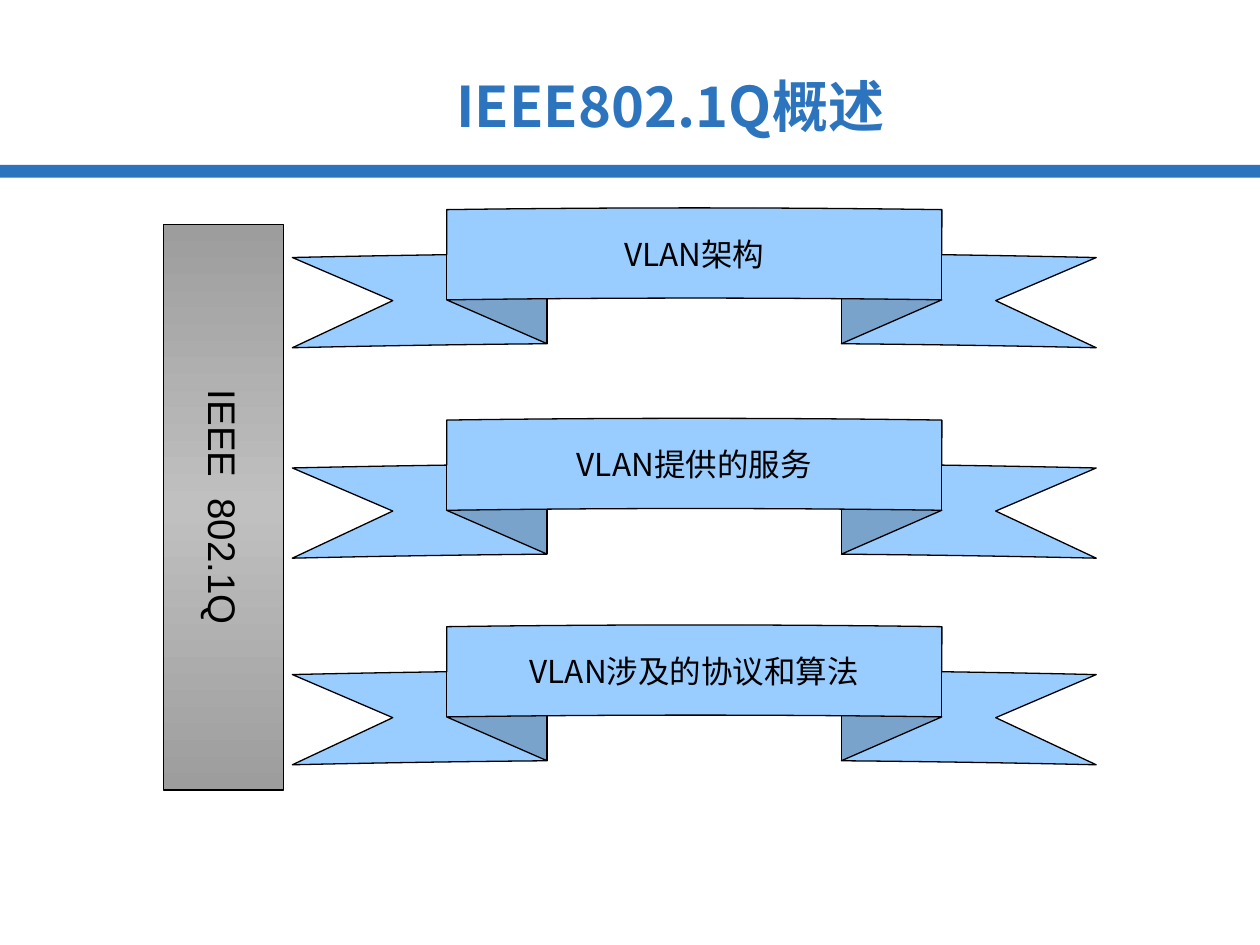
import copy

import pptx
import pptx.dml.color
import pptx.enum.shapes
import pptx.enum.text
import pptx.util

BLUE = pptx.dml.color.RGBColor(0x2C, 0x75, 0xBE)
SKY = pptx.dml.color.RGBColor(0x99, 0xCC, 0xFF)
BLACK = pptx.dml.color.RGBColor(0, 0, 0)
DARK_GREY = pptx.dml.color.RGBColor(0x9D, 0x9D, 0x9D)
LIGHT_GREY = pptx.dml.color.RGBColor(0xC0, 0xC0, 0xC0)
CJK = "Noto Sans CJK SC"
SHAPES = pptx.enum.shapes.MSO_SHAPE

presentation = pptx.Presentation()
presentation.slide_width = pptx.util.Inches(10)
presentation.slide_height = pptx.util.Inches(7.5)
slide = presentation.slides.add_slide(presentation.slide_layouts[5])


def add_outlined(kind, left, top, width, height):
    shape = slide.shapes.add_shape(kind, *map(pptx.util.Inches, (left, top, width, height)))
    shape.shadow.inherit = False
    shape.line.color.rgb = BLACK
    shape.line.width = pptx.util.Pt(0.75)
    return shape


def write_centred(shape, pieces, wrap, **formats):
    frame = shape.text_frame
    frame.word_wrap = wrap
    frame.vertical_anchor = pptx.enum.text.MSO_ANCHOR.MIDDLE
    paragraph = frame.paragraphs[0]
    paragraph.alignment = pptx.enum.text.PP_ALIGN.CENTER
    for piece in pieces:
        run = paragraph.add_run()
        run.text = piece
        for name, value in formats.items():
            setattr(run.font, name, value)
        run.font.color.rgb = BLUE if shape.is_placeholder else BLACK
        if formats["name"] == CJK:
            properties = run.font._element
            east_asian = properties.makeelement(pptx.oxml.ns.qn("a:ea"), {"typeface": CJK})
            properties.find(pptx.oxml.ns.qn("a:latin")).addnext(east_asian)
    return paragraph


rule = slide.shapes.add_shape(
    SHAPES.RECTANGLE, 0, pptx.util.Inches(1.31), presentation.slide_width, pptx.util.Inches(0.1)
)
rule.shadow.inherit = False
rule.fill.solid()
rule.fill.fore_color.rgb = BLUE
rule.line.fill.background()

title = slide.shapes.title
for side, length in {"left": 1.8, "top": 0.47, "width": 7.04, "height": 0.73}.items():
    setattr(title, side, pptx.util.Inches(length))
write_centred(title, ["IEEE802.1Q概述"], True, name=CJK, size=pptx.util.Pt(32), bold=True)

topics = ["VLAN架构", "VLAN提供的服务", "VLAN涉及的协议和算法"]
for topic, top in zip(topics, (1.65, 3.32, 4.96)):
    ribbon = add_outlined(SHAPES.CURVED_UP_RIBBON, 2.32, top, 6.38, 1.11)
    for index, share in enumerate((0.355, 0.616, 0.033)):
        ribbon.adjustments[index] = share
    ribbon.fill.solid()
    ribbon.fill.fore_color.rgb = SKY
    write_centred(ribbon, [topic], False, name=CJK, size=pptx.util.Pt(18))

standard = add_outlined(SHAPES.RECTANGLE, -0.47, 3.55, 4.49, 0.95)
standard.rotation = 90
standard.fill.gradient()
standard.fill.gradient_angle = 0
stop_list = standard.fill.gradient_stops[0]._gs.getparent()
stop_list.append(copy.deepcopy(stop_list[-1]))
for stop, position, colour in zip(
    standard.fill.gradient_stops, (0, 0.5, 1), (DARK_GREY, LIGHT_GREY, DARK_GREY)
):
    stop.position = position
    stop.color.rgb = colour
label = write_centred(standard, ["IEEE", " ", "802.1Q"], False, name="Arial", size=pptx.util.Pt(22))
label.runs[1].font._element.set("spc", "600")

presentation.save("out.pptx")
